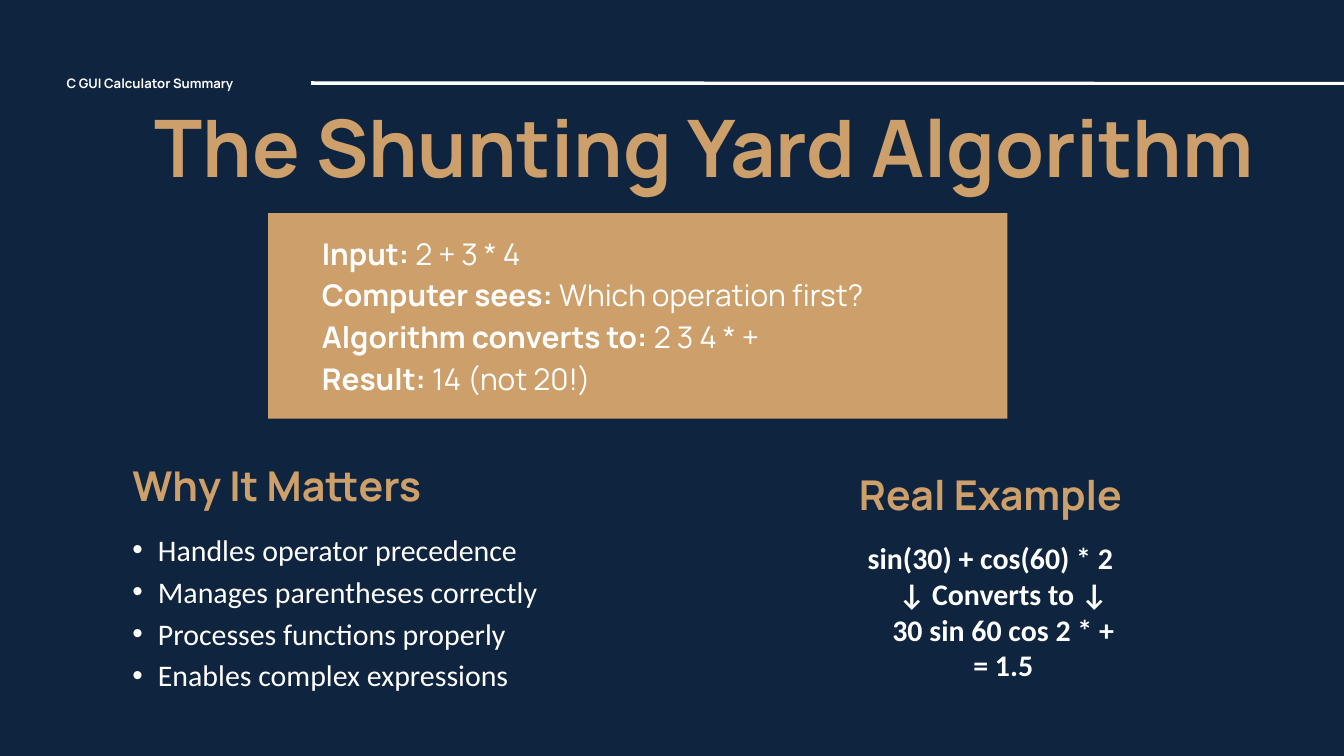
from dataclasses import dataclass

from lxml import etree
from pptx import Presentation
from pptx.dml.color import RGBColor
from pptx.enum.shapes import MSO_CONNECTOR, MSO_SHAPE
from pptx.enum.text import MSO_ANCHOR, MSO_AUTO_SIZE, PP_ALIGN
from pptx.oxml.ns import qn
from pptx.slide import Slide
from pptx.util import Inches, Pt

NAVY = RGBColor(0x0F, 0x24, 0x3E)
GOLD = RGBColor(0xCD, 0x9F, 0x6A)
WHITE = RGBColor(0xFF, 0xFF, 0xFF)

LEFT, CENTER = PP_ALIGN.LEFT, PP_ALIGN.CENTER
TOP, MIDDLE = MSO_ANCHOR.TOP, MSO_ANCHOR.MIDDLE
FIXED, GROW = MSO_AUTO_SIZE.NONE, MSO_AUTO_SIZE.SHAPE_TO_FIT_TEXT
LINE, RECT = MSO_CONNECTOR.STRAIGHT, MSO_SHAPE.RECTANGLE

WIDTH, HEIGHT = Inches(20), Inches(11.25)
COLS, ROWS = 80, 45
INDENT = Inches(0.38)

STEPS = [
    ("Input:", " 2 + 3 * 4"),
    ("Computer sees:", " Which operation first?"),
    ("Algorithm converts to:", " 2 3 4 * +"),
    ("Result:", " 14 (not 20!)"),
]
REASONS = [
    "Handles operator precedence",
    "Manages parentheses correctly",
    "Processes functions properly",
    "Enables complex expressions",
]
EXAMPLE = ["sin(30) + cos(60) * 2", "↓ Converts to ↓", "30 sin 60 cos 2 * +", "= 1.5"]


@dataclass
class Deck:
    """Draws on one slide; boxes are (left, top, width, height) in grid cells."""

    slide: Slide
    head: str = "Manrope"
    body: str = "Calibri"

    def place(self, box):
        x, y, w, h = box
        return (round(x * WIDTH / COLS), round(y * HEIGHT / ROWS),
                round(w * WIDTH / COLS), round(h * HEIGHT / ROWS))

    def style(self, para, size, color, face, bold=None, align=LEFT, lead=None):
        para.alignment = align
        if lead:
            para.line_spacing = Pt(lead)
        font = para.font
        font.name, font.size, font.bold = face, Pt(size), bold
        font.color.rgb = color

    def indent(self, para, left, first):
        props = para._p.get_or_add_pPr()
        props.set("marL", str(left))
        props.set("indent", str(first))

    def frame(self, box, inset=None, anchor=TOP, fit=FIXED):
        frame = self.slide.shapes.add_textbox(*self.place(box)).text_frame
        frame.word_wrap, frame.auto_size = True, fit
        frame.vertical_anchor = anchor
        if inset is not None:
            frame.margin_left = frame.margin_right = Inches(inset)
            frame.margin_top = frame.margin_bottom = Inches(inset)
        return frame

    def label(self, box, text, size, color, align=LEFT, lead=None, **look):
        para = self.frame(box, **look).paragraphs[0]
        para.text = text
        self.style(para, size, color, self.head, True, align, lead)

    def rule(self, x, y, end_x, end_y):
        line = self.slide.shapes.add_connector(LINE, *self.place((x, y, end_x, end_y)))
        line.line.color.rgb, line.line.width = WHITE, Pt(3)
        etree.SubElement(line._element.spPr, qn("a:effectLst"))

    def panel(self, box):
        shape = self.slide.shapes.add_shape(RECT, *self.place(box))
        shape.shadow.inherit = False
        shape.fill.solid()
        shape.fill.fore_color.rgb = GOLD
        shape.line.fill.background()

    def pairs(self, box, rows):
        """Lists bold terms, each followed by its plain value."""
        frame = self.frame(box, inset=0.06, anchor=MIDDLE)
        for i, (term, value) in enumerate(rows):
            para = frame.add_paragraph() if i else frame.paragraphs[0]
            para.level = 1
            self.indent(para, INDENT, 0)
            self.style(para, 32, WHITE, self.head, lead=44.8)
            for text, bold in ((term, True), (value, False)):
                run = para.add_run()
                run.text, run.font.bold = text, bold

    def holder(self, shape, box):
        shape.left, shape.top, shape.width, shape.height = self.place(box)
        shape.text_frame.auto_size = FIXED
        return shape.text_frame

    def title(self, box, text):
        frame = self.holder(self.slide.shapes.title, box)
        frame.text, frame.vertical_anchor = text, MIDDLE
        self.style(frame.paragraphs[0], 44, GOLD, self.head, True)

    def bullets(self, box, items):
        frame = self.holder(self.slide.placeholders[1], box)
        frame.text = "\n".join(items)
        for para in frame.paragraphs:
            self.indent(para, INDENT, -INDENT)
            self.style(para, 32, WHITE, self.body)
        frame.paragraphs[0].space_before = Pt(0)

    def sample(self, box, lines):
        """Centres one paragraph of broken lines."""
        para = self.frame(box).paragraphs[0]
        para.text = "\v".join(lines)
        self.indent(para, INDENT, -INDENT)
        self.style(para, 32, WHITE, self.body, True, CENTER)


def main():
    show = Presentation()
    show.slide_width, show.slide_height = WIDTH, HEIGHT
    slide = show.slides.add_slide(show.slide_layouts[1])
    slide.background.fill.solid()
    slide.background.fill.fore_color.rgb = NAVY

    deck = Deck(slide)
    for start in (4.92, 4.96):
        deck.rule(18.52, start, COLS, 4.96)
    deck.label((2.8, 4.88, 78.24, 6.36), "The Shunting Yard Algorithm", 85, GOLD,
               CENTER, 119, inset=0, fit=GROW)
    deck.panel((15.96, 12.68, 44, 12.24))
    deck.pairs((17.4, 13.48, 41, 10.28), STEPS)
    deck.label((3.96, 4.32, 13.56, 1.08), "C GUI Calculator Summary", 14, WHITE,
               lead=19.6, inset=0, fit=GROW)

    wide, tall, deep = 36, 5, 10.84
    deck.title((7.48, 26.4, wide, tall), "Why It Matters")
    deck.bullets((7.48, 31.44, wide, deep), REASONS)
    deck.label((40.96, 26.88, wide, tall), "Real Example", 44, GOLD, CENTER, anchor=MIDDLE)
    deck.sample((40.96, 31.92, wide, deep), EXAMPLE)
    show.save("out.pptx")


if __name__ == "__main__":
    main()
